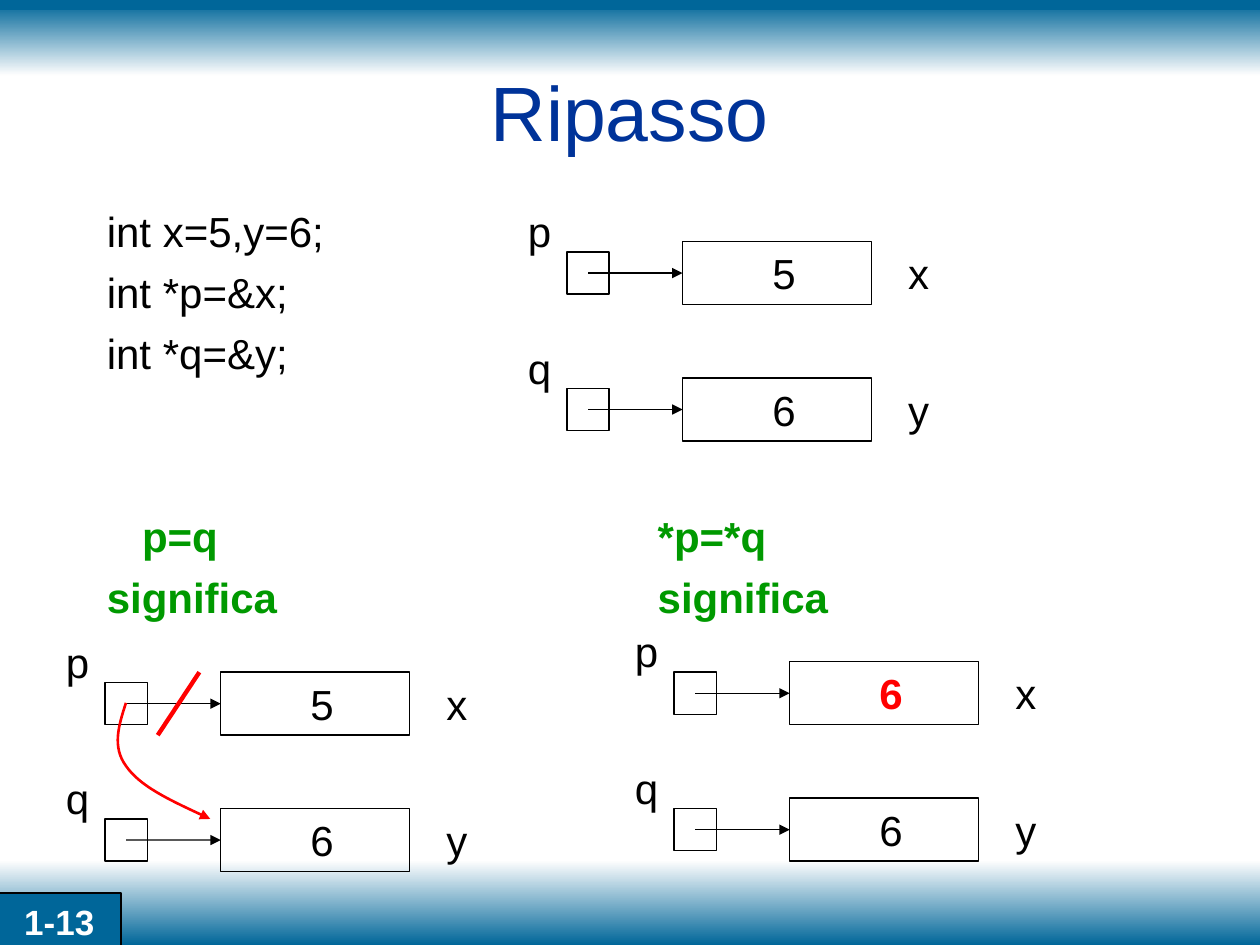
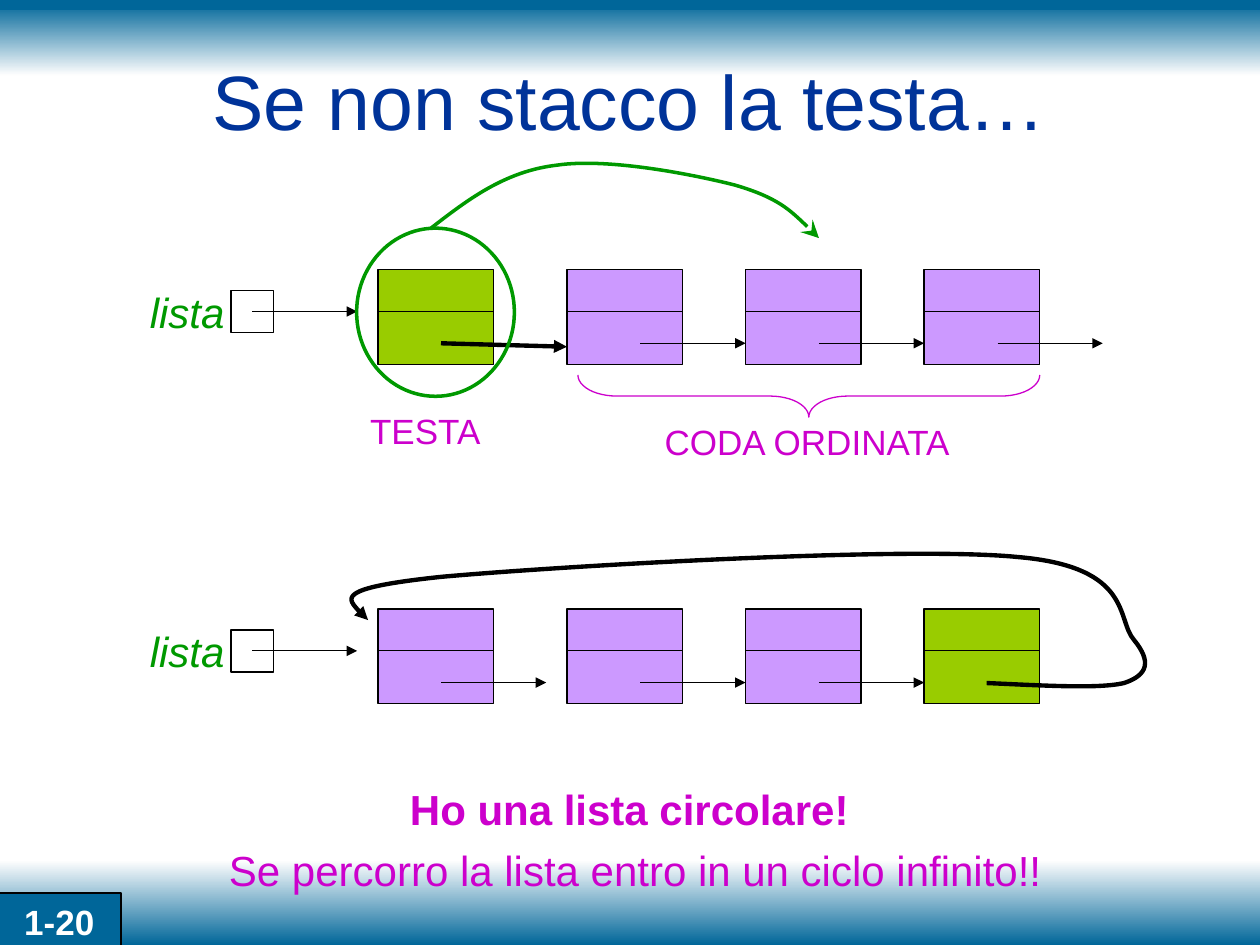
from dataclasses import dataclass

from lxml.etree import SubElement
from pptx import Presentation
from pptx.dml.color import RGBColor
from pptx.enum.shapes import MSO_CONNECTOR as Link, MSO_SHAPE as Preset
from pptx.enum.text import MSO_ANCHOR as Anchor, MSO_AUTO_SIZE as AutoSize, PP_ALIGN as Align
from pptx.oxml.ns import qn
from pptx.util import Cm, Pt


@dataclass(frozen=True)
class Theme:
    font: str = "Arial"
    title_size: float = 44
    body_size: float = 24
    label_size: float = 20
    thin: float = 0.75
    medium: float = 2
    thick: float = 2.5
    line_factor: float = 1.2
    paragraph_gap: float = 6
    band: RGBColor = RGBColor(0x00, 0x66, 0x99)
    fade: RGBColor = RGBColor(0xFE, 0xFE, 0xFE)
    title: RGBColor = RGBColor(0x00, 0x33, 0x99)
    ink: RGBColor = RGBColor(0x00, 0x00, 0x00)
    white: RGBColor = RGBColor(0xFF, 0xFF, 0xFF)
    green: RGBColor = RGBColor(0x00, 0x99, 0x00)
    red: RGBColor = RGBColor(0xFF, 0x00, 0x00)
    magenta: RGBColor = RGBColor(0xCC, 0x00, 0xCC)
    head_node: RGBColor = RGBColor(0x99, 0xCC, 0x00)
    tail_node: RGBColor = RGBColor(0xCC, 0x99, 0xFF)


THEME = Theme()
BOX = 0.85
NODE_WIDTH, NODE_HEIGHT, NODE_SPLIT = 2.33, 1.91, 0.84
NODE_LEFTS = [7.62] + [11.43 + 3.6 * i for i in range(3)]
LINK_DROP, LINK_LENGTH = 1.48, 2.12


def set_all(target, values):
    for name, value in values.items():
        setattr(target, name, value)


def place(shape, left, top, width, height):
    set_all(shape, {"left": Cm(left), "top": Cm(top),
                    "width": Cm(width), "height": Cm(height)})


def write(paragraph, text, size, color=THEME.ink, align=Align.LEFT, **style):
    run = paragraph.add_run()
    run.text = text
    set_all(run.font, {"name": THEME.font, "size": Pt(size), **style})
    run.font.color.rgb = color
    set_all(paragraph, {"alignment": align, "line_spacing": Pt(size * THEME.line_factor)})


def write_lines(frame, lines):
    """Write (text, space before, left indent, style) lines without bullets."""
    for index, (text, gap, indent, style) in enumerate(lines):
        paragraph = frame.add_paragraph() if index else frame.paragraphs[0]
        write(paragraph, text, THEME.body_size, **style)
        paragraph.space_before = Pt(gap)
        properties = paragraph._p.get_or_add_pPr()
        properties.set("marL", str(Cm(indent)))
        properties.set("indent", "0")
        SubElement(properties, qn("a:buNone"))


def set_line(shape, color, weight, head=None, head_size="med"):
    """Colour the outline and, if asked, put an arrowhead at its end."""
    shape.line.color.rgb = color
    shape.line.width = Pt(weight)
    if head:
        outline = shape.element.spPr.find(qn("a:ln"))
        SubElement(outline, qn("a:tailEnd"), type=head, w=head_size, len=head_size)


def add_preset(slide, preset, area, fill=None, line=THEME.ink, weight=THEME.thin):
    shape = slide.shapes.add_shape(preset, *map(Cm, area))
    shape.shadow.inherit = False
    if fill is None:
        shape.fill.background()
    else:
        shape.fill.solid()
        shape.fill.fore_color.rgb = fill
    set_line(shape, line, weight)
    return shape


def add_line(slide, start, end, color=THEME.ink, weight=THEME.thin, head=None):
    line = slide.shapes.add_connector(Link.STRAIGHT, *map(Cm, (*start, *end)))
    set_line(line, color, weight, head)
    SubElement(line.element.spPr, qn("a:effectLst"))
    return line


def add_curve(slide, points, color, weight, head, head_size="med"):
    """Draw Bézier segments: a start, then two controls and an end for each."""
    start, *rest = [(Cm(x), Cm(y)) for x, y in points]
    builder = slide.shapes.build_freeform(*start)
    builder.add_line_segments(rest, close=False)
    curve = builder.convert_to_shape()
    outline = curve.element.xpath(".//a:path")[0]
    steps = outline.findall(qn("a:lnTo"))
    for first in range(0, len(steps), 3):
        bend = SubElement(outline, qn("a:cubicBezTo"))
        for step in steps[first:first + 3]:
            bend.append(step[0])
            outline.remove(step)
    curve.shadow.inherit = False
    curve.fill.background()
    set_line(curve, color, weight, head, head_size)


def add_text_box(slide, area):
    box = slide.shapes.add_textbox(*map(Cm, area))
    set_all(box.text_frame, {"word_wrap": False, "auto_size": AutoSize.SHAPE_TO_FIT_TEXT})
    return box.text_frame


def add_label(slide, text, area, size=THEME.body_size, **style):
    write(add_text_box(slide, area).paragraphs[0], text, size, **style)


def add_band(slide, area, colors):
    band = add_preset(slide, Preset.RECTANGLE, area)
    band.line.fill.background()
    band.fill.gradient()
    band.fill.gradient_angle = 270
    for stop, color in zip(band.fill.gradient_stops, colors):
        stop.color.rgb = color
    return band


def dress_master(prs, slide):
    """Build the shared bands on a slide, then move them behind the master's text."""
    bands = [
        add_band(slide, (0, 0.05, 25.4, 1.47), (THEME.band, THEME.fade)),
        add_band(slide, (0, 17.35, 25.4, 1.7), (THEME.fade, THEME.band)),
        add_line(slide, (0, 0.1), (25.4, 0.1), THEME.band, 6),
    ]
    for order, band in enumerate(bands):
        band.element.xpath(".//p:cNvPr")[0].set("id", str(100 + order))
        prs.slide_master.shapes.element.insert(2 + order, band.element)


def add_page_badge(slide, page):
    badge = add_preset(slide, Preset.RECTANGLE, (-0.05, 18.01, 2.49, 1.12),
                       THEME.band, weight=1)
    badge.text_frame.vertical_anchor = Anchor.MIDDLE
    write(badge.text_frame.paragraphs[0], page, THEME.label_size, THEME.white,
          Align.CENTER, bold=True)


def add_page(prs, page, title, title_top):
    slide = prs.slides.add_slide(prs.slide_layouts[1])
    heading = slide.shapes.title
    place(heading, 1.9, title_top, 21.59, 3.18)
    set_all(heading.text_frame, {"vertical_anchor": Anchor.MIDDLE,
                                 "auto_size": AutoSize.NONE})
    write(heading.text_frame.paragraphs[0], title, THEME.title_size, THEME.title,
          Align.CENTER)
    add_page_badge(slide, page)
    return slide


def fill_body(slide, area, lines):
    body = slide.placeholders[1]
    place(body, *area)
    body.text_frame.auto_size = AutoSize.NONE
    write_lines(body.text_frame, lines)


def add_pointer(slide, left, top, pointer, variable, value, **value_style):
    """Draw a pointer box with an arrow to the variable it points at."""
    add_preset(slide, Preset.RECTANGLE, (left, top, BOX, BOX))
    cell = add_preset(slide, Preset.RECTANGLE, (left + 2.33, top - 0.21, 3.81, 1.27))
    middle = top + BOX / 2
    arrow = add_line(slide, (left + BOX / 2, middle), (left + 2.33, middle),
                     head="triangle")
    arrow.end_connect(cell, 1)
    add_label(slide, value, (left + 3.89, top - 0.21, 0.97, 1.27), **value_style)
    add_label(slide, variable, (left + 6.63, top - 0.21, 0.91, 1.27))
    add_label(slide, pointer, (left - 1.04, top - 1.06, 0.97, 1.27))


def add_memory(slide, left, top, x_value, **x_style):
    add_pointer(slide, left, top, "p", "x", x_value, **x_style)
    add_pointer(slide, left, top + 2.75, "q", "y", "6")


def add_linked_list(slide, top, fills, link_starts):
    add_label(slide, "lista", (2.77, top + 0.21, 2.01, 1.27),
              color=THEME.green, italic=True)
    add_preset(slide, Preset.RECTANGLE, (4.66, top + 0.42, BOX, BOX))
    split = top + NODE_SPLIT
    add_line(slide, (5.08, split), (7.2, split), head="triangle")
    for left, fill in zip(NODE_LEFTS, fills):
        add_preset(slide, Preset.RECTANGLE, (left, top, NODE_WIDTH, NODE_HEIGHT), fill)
        add_line(slide, (left, split), (left + NODE_WIDTH, split))
    link = top + LINK_DROP
    for start in link_starts:
        add_line(slide, (start, link), (start + LINK_LENGTH, link), head="triangle")


def build_review(slide):
    gap = THEME.paragraph_gap
    section_gap = 3 * gap + 2 * THEME.body_size * THEME.line_factor
    meaning = {"color": THEME.green, "bold": True}
    conclusion = ("significa", gap, 0, meaning)
    fill_body(slide, (1.9, 4.02, 21.59, 11.43), [
        ("int x=5,y=6;", 0, 0, {}),
        ("int *p=&x;", gap, 0, {}),
        ("int *q=&y;", gap, 0, {}),
        ("p=q", section_gap, 0.71, meaning),
        conclusion,
    ])
    write_lines(add_text_box(slide, (13.01, 10.16, 3.94, 2.75)),
                [("*p=*q", 0, 0, meaning), conclusion])
    add_memory(slide, 11.43, 5.08, "5")
    add_memory(slide, 13.59, 13.55, "6", color=THEME.red, bold=True)
    add_memory(slide, 2.12, 13.76, "5")
    add_line(slide, (4.02, 13.55), (3.18, 14.82), THEME.red, THEME.thick)
    add_curve(slide, [(2.54, 14.17), (2.39, 14.63), (2.26, 15.06), (2.54, 15.44),
                      (2.82, 15.85), (3.53, 16.18), (4.24, 16.51)],
              THEME.red, 1.5, "triangle")


def build_circular_list(slide):
    closing = {"color": THEME.magenta, "align": Align.CENTER}
    fill_body(slide, (0.42, 15.66, 24.77, 2.54), [
        ("Ho una lista circolare! ", 0, 0, {**closing, "bold": True}),
        ("Se percorro la lista entro in un ciclo infinito!!", THEME.paragraph_gap, 0, closing),
    ])
    tail = [THEME.tail_node] * 3
    tail_links = [left + LINK_DROP for left in NODE_LEFTS[1:]]
    first_link = 8.89
    add_linked_list(slide, 5.44, [THEME.head_node] + tail, tail_links)
    add_line(slide, (first_link, 6.92), (11.43, 6.99), weight=THEME.thick, head="triangle")
    add_label(slide, "TESTA", (7.21, 8.13, 2.77, 1.12), THEME.label_size,
              color=THEME.magenta)
    add_label(slide, "CODA ORDINATA ", (13.06, 8.36, 6.58, 1.12), THEME.label_size,
              **closing)
    brace = add_preset(slide, Preset.RIGHT_BRACE, (15.88, 3.33, 0.85, 9.31),
                       line=THEME.magenta)
    brace.rotation = 90
    brace.adjustments[0] = 0.92
    add_preset(slide, Preset.OVAL, (7.19, 4.6, 3.18, 3.39),
               line=THEME.green, weight=THEME.medium)
    add_curve(slide, [(8.69, 4.6), (9.45, 4.01), (10.19, 3.45), (11.23, 3.33),
                      (12.24, 3.18), (13.94, 3.51), (14.81, 3.73),
                      (15.7, 3.99), (16.1, 4.39), (16.51, 4.8)],
              THEME.green, THEME.medium, "stealth", "lg")
    add_linked_list(slide, 12.28, tail + [THEME.head_node], [first_link] + tail_links[:2])
    add_curve(slide, [(19.89, 13.77), (21.03, 13.82), (22.15, 13.89), (22.66, 13.77),
                      (23.14, 13.61), (23.22, 13.34), (22.86, 12.9),
                      (22.5, 12.5), (22.86, 11.43), (20.52, 11.23),
                      (18.21, 11), (11.07, 11.43), (8.89, 11.63),
                      (6.71, 11.86), (7.06, 12.17), (7.42, 12.5)],
              THEME.ink, THEME.thick, "triangle")


def main():
    prs = Presentation()
    set_all(prs, {"slide_width": Cm(25.4), "slide_height": Cm(19.05)})
    review = add_page(prs, "1-13", "Ripasso", 0.64)
    dress_master(prs, review)
    build_review(review)
    build_circular_list(add_page(prs, "1-20", "Se non stacco la testa…", 0.42))
    prs.save("out.pptx")


if __name__ == "__main__":
    main()
